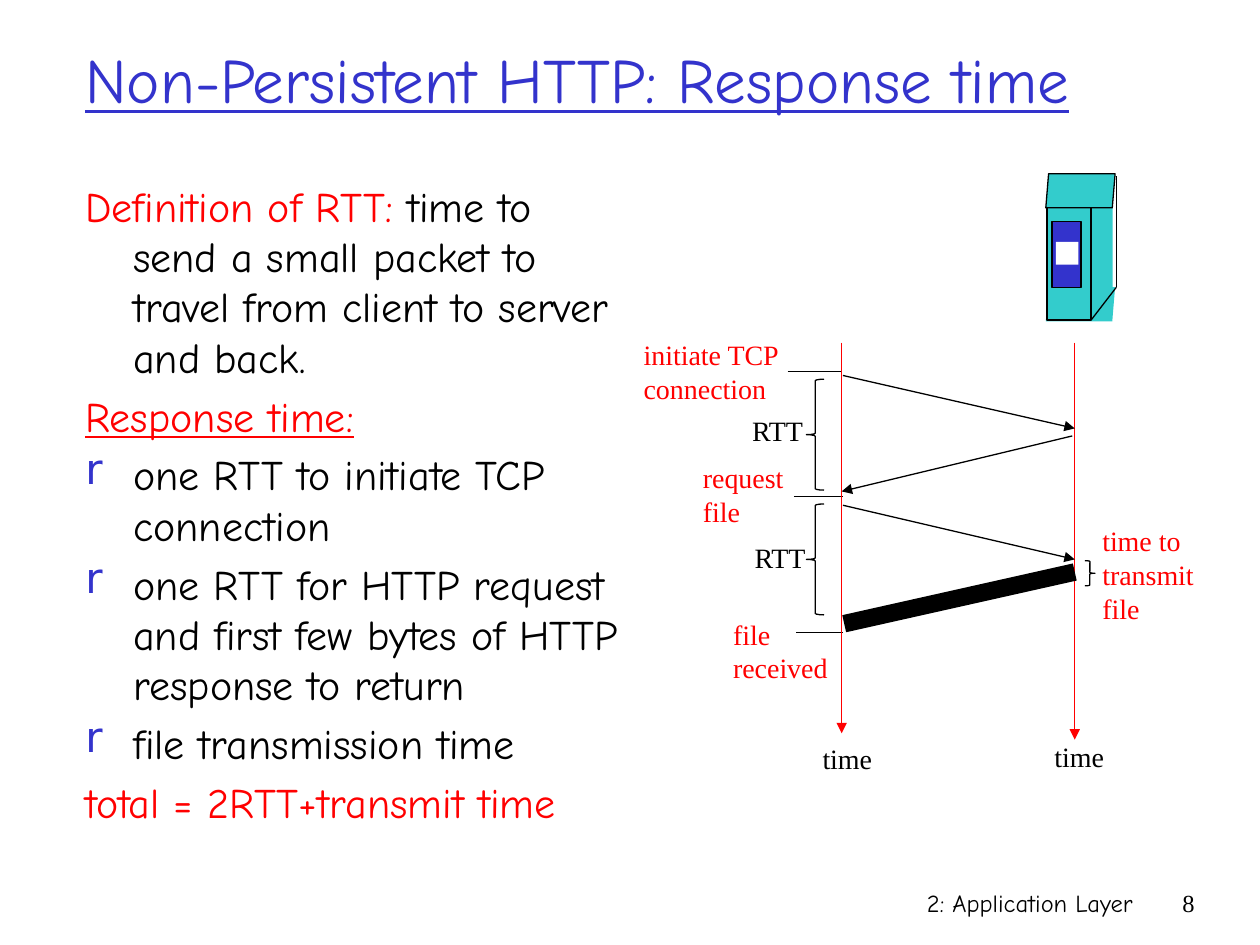
"""Build the slide on the response time of non-persistent HTTP."""
from lxml.etree import SubElement
from pptx import Presentation
from pptx.dml.color import RGBColor
from pptx.enum.shapes import MSO_CONNECTOR, MSO_SHAPE as Preset
from pptx.enum.text import MSO_ANCHOR as Anchor, PP_ALIGN as Align
from pptx.oxml.ns import qn
from pptx.util import Inches, Pt

BLACK = RGBColor(0, 0, 0)
WHITE = RGBColor(255, 255, 255)
RED = RGBColor(255, 0, 0)
BLUE = RGBColor(0x33, 0x33, 0xCC)
TEAL = RGBColor(0x33, 0xCC, 0xCC)
COMIC, TIMES = "Comic Neue", "Times New Roman"
INDENT = 0.38

TITLE = "Non-Persistent HTTP: Response time"
DEFINITION = (
    ("Definition of RTT:", RED, False),
    (" time to send a small packet to travel from client to server and back.", BLACK, False),
)
BODY = [
    (False, DEFINITION),
    (False, [("Response time:", RED, True)]),
    (True, [("one RTT to initiate TCP connection", BLACK, False)]),
    (True, [("one RTT for HTTP request and first few bytes of HTTP response to return", BLACK, False)]),
    (True, [("file transmission time", BLACK, False)]),
    (False, [("total = 2RTT+transmit time", RED, False)]),
]
FOOTER = [
    ("2: Application Layer", (5.92, 7, 3.17, 0.5), COMIC),
    ("8", (9.08, 7, 0.5, 0.5), TIMES),
]
SERVER = [
    (Preset.PARALLELOGRAM, (8.3, 2.28, 0.55, 0.27), TEAL, False),
    (Preset.RECTANGLE, (8.58, 1.39, 0.25, 0.9), TEAL, False),
    (Preset.RECTANGLE, (8.31, 1.64, 0.35, 0.9), TEAL, True),
    (Preset.PARALLELOGRAM, (8.3, 1.38, 0.55, 0.27), TEAL, True),
    (Preset.RECTANGLE, (8.35, 1.76, 0.23, 0.52), BLUE, True),
    (Preset.RECTANGLE, (8.38, 1.92, 0.18, 0.18), WHITE, False),
]
SERVER_EDGES = [((8.86, 1.4), (8.86, 2.28)), ((8.86, 2.28), (8.66, 2.54))]
TIMELINES = [((6.68, 2.72), (6.68, 5.82)), ((8.53, 2.72), (8.53, 5.87))]
MESSAGES = [
    ((6.69, 2.98), (8.53, 3.4)),
    ((8.51, 3.46), (6.68, 3.9)),
    ((6.69, 4.01), (8.53, 4.44)),
]
FILE_TRANSFER = ((8.53, 4.54), (6.7, 4.95))
EVENT_TICKS = [
    ((6.25, 2.95), (6.68, 2.95)),
    ((6.3, 3.94), (6.69, 3.94)),
    ((6.69, 5.02), (6.32, 5.02)),
]
BRACES = [
    (Preset.RIGHT_BRACE, (8.61, 4.45, 0.08, 0.2)),
    (Preset.LEFT_BRACE, (6.4, 3.01, 0.14, 0.88)),
    (Preset.LEFT_BRACE, (6.4, 4, 0.14, 0.88)),
]
LABELS = [
    ("time to\ntransmit\nfile", (8.65, 4.11, 0.99, 0.9), RED),
    ("initiate TCP\nconnection", (5.01, 2.63, 1.28, 0.64), RED),
    ("RTT", (5.87, 3.23, 0.62, 0.37), BLACK),
    ("request\nfile", (5.48, 3.61, 0.85, 0.64), RED),
    ("RTT", (5.89, 4.24, 0.62, 0.37), BLACK),
    ("file\nreceived", (5.72, 4.85, 0.96, 0.64), RED),
    ("time", (6.43, 5.84, 0.6, 0.37), BLACK),
    ("time", (8.27, 5.82, 0.6, 0.37), BLACK),
]


def style(run, font, size, color, underline=False):
    run.font.name = font
    run.font.size = Pt(size)
    run.font.color.rgb = color
    if underline:
        run.font.underline = True


def add_text(slide, text, box, font, size, color, underline=False, align=Align.LEFT, wrap=True):
    frame = slide.shapes.add_textbox(*map(Inches, box)).text_frame
    frame.word_wrap = wrap
    frame.text = text
    for paragraph in frame.paragraphs:
        paragraph.alignment = align
        for run in paragraph.runs:
            style(run, font, size, color, underline)
    return frame


def add_body(slide, box):
    frame = slide.shapes.add_textbox(*map(Inches, box)).text_frame
    frame.word_wrap = True
    for index, (bulleted, pieces) in enumerate(BODY):
        paragraph = frame.add_paragraph() if index else frame.paragraphs[0]
        properties = paragraph._p.get_or_add_pPr()
        properties.set("marL", str(Inches(INDENT)))
        properties.set("indent", str(-Inches(INDENT)))
        if bulleted:
            bullet_color = SubElement(properties, qn("a:buClr"))
            SubElement(bullet_color, qn("a:srgbClr"), val=str(BLUE))
            SubElement(properties, qn("a:buChar"), char="r")
        if index:
            paragraph.space_before = Pt(4.8)
        for text, color, underline in pieces:
            run = paragraph.add_run()
            run.text = text
            style(run, COMIC, 24, color, underline)


def add_shape(slide, preset, box, fill=None, outlined=True):
    shape = slide.shapes.add_shape(preset, *map(Inches, box))
    shape.shadow.inherit = False
    if preset != Preset.RECTANGLE:
        shape.adjustments[0] = 0.083
    if fill is None:
        shape.fill.background()
    else:
        shape.fill.solid()
        shape.fill.fore_color.rgb = fill
    if outlined:
        shape.line.color.rgb = BLACK
        shape.line.width = Pt(0.75)
    else:
        shape.line.fill.background()


def add_line(slide, ends, color=BLACK, width=0.75, arrow=False):
    start, end = ends
    line = slide.shapes.add_connector(MSO_CONNECTOR.STRAIGHT, *map(Inches, start + end))
    line.line.color.rgb = color
    line.line.width = Pt(width)
    if arrow:
        SubElement(line.line._get_or_add_ln(), qn("a:tailEnd"), type="triangle")
    SubElement(line._element.spPr, qn("a:effectLst"))


def main():
    deck = Presentation()
    deck.slide_width, deck.slide_height = Inches(10), Inches(7.5)
    slide = deck.slides.add_slide(deck.slide_layouts[6])

    for text, box, font in FOOTER:
        add_text(slide, text, box, font, 14, BLACK, align=Align.RIGHT)
    title = add_text(slide, TITLE, (0.58, 0, 8.99, 1.25), COMIC, 36, BLUE, underline=True)
    title.vertical_anchor = Anchor.MIDDLE
    add_body(slide, (0.58, 1.38, 4.47, 5.08))

    for part in SERVER:
        add_shape(slide, *part)
    for ends in SERVER_EDGES + EVENT_TICKS:
        add_line(slide, ends)
    for ends in TIMELINES:
        add_line(slide, ends, RED, arrow=True)
    for ends in MESSAGES:
        add_line(slide, ends, arrow=True)
    add_line(slide, FILE_TRANSFER, width=10)
    for brace in BRACES:
        add_shape(slide, *brace)
    for text, box, color in LABELS:
        add_text(slide, text, box, TIMES, 16, color, wrap=False)

    deck.save("out.pptx")


if __name__ == "__main__":
    main()
